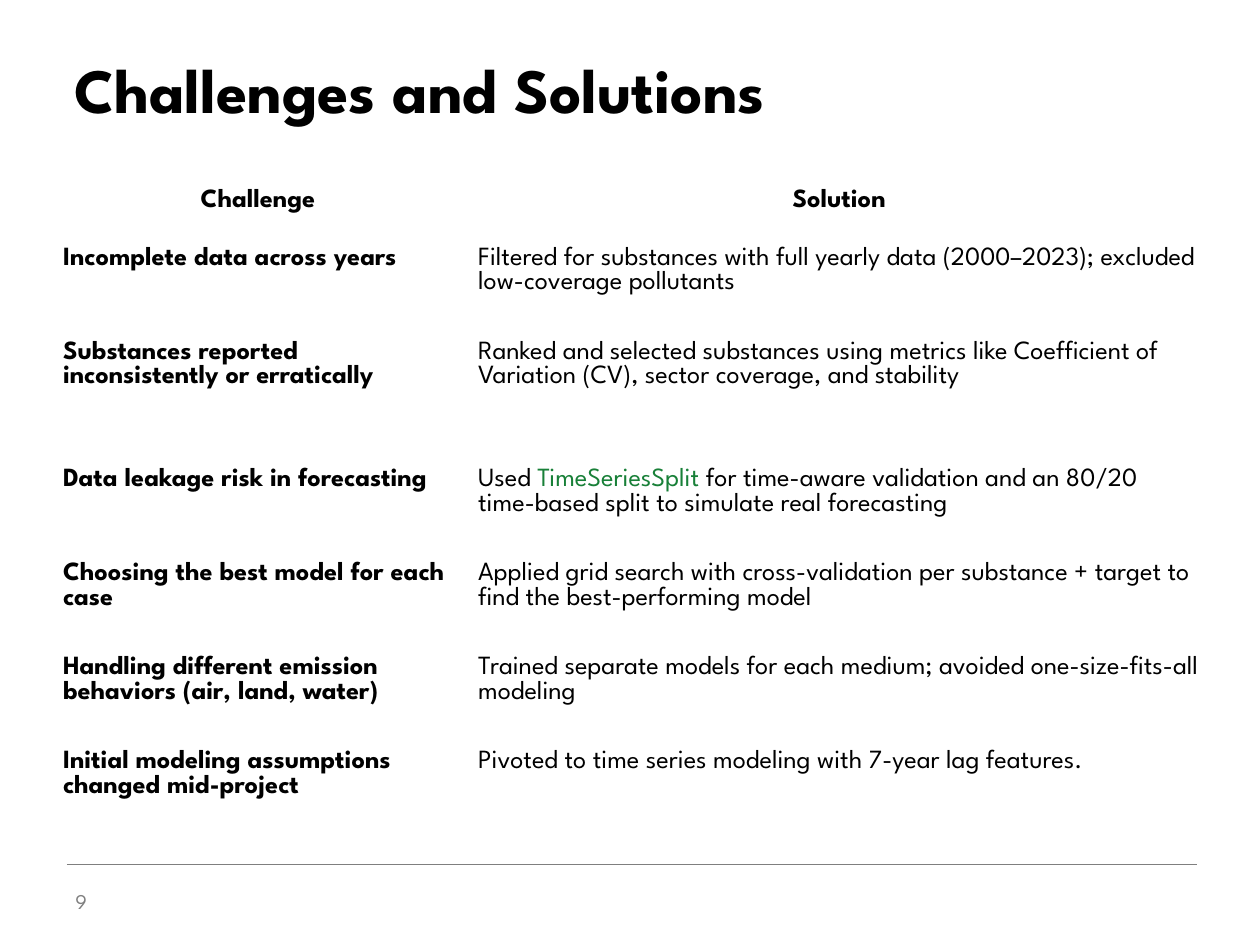
from dataclasses import dataclass

from lxml.etree import SubElement
from pptx import Presentation
from pptx.dml.color import RGBColor
from pptx.enum.text import MSO_ANCHOR, PP_ALIGN
from pptx.oxml.ns import qn
from pptx.util import Inches, Pt


@dataclass(frozen=True)
class Theme:
    font: str = "League Spartan"
    ink: str = "000000"
    code: str = "188038"
    gray: str = "7F7F7F"
    paper: str = "FFFFFF"
    head: int = 36
    body: int = 15
    note: int = 12
    lead: float = 1.15
    rule: float = 0.75


class Deck:
    def __init__(self, theme, wide=10, high=7.5):
        self.theme = theme
        self.file = Presentation()
        self.file.slide_width = Inches(wide)
        self.file.slide_height = Inches(high)
        self.page = self.file.slides.add_slide(self.file.slide_layouts[6])
        back = self.page.background.fill
        back.solid()
        back.fore_color.rgb = RGBColor.from_string(theme.paper)

    def x(self, share):
        return round(self.file.slide_width * share / 100)

    def y(self, share):
        return round(self.file.slide_height * share / 100)

    def run(self, para, text, size, color, bold=False):
        run = para.add_run()
        run.text = text
        font = run.font
        font.name, font.size, font.bold = self.theme.font, Pt(size), bold
        font.color.rgb = RGBColor.from_string(color)

    def text(self, left, top, wide, high, anchor, text, size, color, bold=False):
        box = self.page.shapes.add_textbox(
            self.x(left), self.y(top), self.x(wide), self.y(high))
        frame = box.text_frame
        frame.word_wrap = True
        frame.vertical_anchor = anchor
        para = frame.paragraphs[0]
        self.run(para, text, size, color, bold)
        return para

    def line(self, left, right, top):
        line = self.page.shapes.add_connector(
            1, self.x(left), self.y(top), self.x(right), self.y(top))
        line.line.color.rgb = RGBColor.from_string(self.theme.gray)
        line.line.width = Pt(self.theme.rule)
        SubElement(line._element.spPr, qn("a:effectLst"))

    def cell(self, cell, parts, bold, head):
        cell.fill.background()
        cell.margin_left = cell.margin_right = Inches(0.1)
        cell.margin_top = cell.margin_bottom = Inches(0.1)
        para = cell.text_frame.paragraphs[0]
        if head:
            para.alignment = PP_ALIGN.CENTER
            para.line_spacing = self.theme.lead
        for text, color in parts:
            self.run(para, text, self.theme.body, color, bold)

    def table(self, left, top, cols, rows, data):
        table = self.page.shapes.add_table(
            len(rows), len(cols), self.x(left), self.y(top),
            self.x(sum(cols)), self.y(sum(rows))).table
        table.horz_banding = table.first_row = False
        for col, wide in zip(table.columns, cols):
            col.width = self.x(wide)
        for row, high in zip(table.rows, rows):
            row.height = self.y(high)
        for r, items in enumerate(data):
            for c, item in enumerate(items):
                parts = [(item, self.theme.ink)] if isinstance(item, str) else item
                self.cell(table.cell(r, c), parts, r == 0 or c == 0, r == 0)


def main():
    theme = Theme()
    deck = Deck(theme)

    # Title
    title = deck.text(4.9, 2.4, 98.9, 11.6, MSO_ANCHOR.BOTTOM,
                      "Challenges and Solutions", theme.head, theme.ink, True)
    title.line_spacing = theme.lead
    title.space_before, title.space_after = Pt(14), Pt(4)

    # Challenges with their solutions
    split = [
        ("Used ", theme.ink),
        ("TimeSeriesSplit", theme.code),
        (" for time-aware validation and an 80/20 time-based split "
         "to simulate real forecasting", theme.ink),
    ]
    data = [
        ("Challenge", "Solution"),
        ("Incomplete data across years",
         "Filtered for substances with full yearly data (2000–2023); "
         "excluded low-coverage pollutants"),
        ("Substances reported inconsistently or erratically",
         "Ranked and selected substances using metrics like Coefficient of "
         "Variation (CV), sector coverage, and stability"),
        ("Data leakage risk in forecasting", split),
        ("Choosing the best model for each case",
         "Applied grid search with cross-validation per substance + target "
         "to find the best-performing model"),
        ("Handling different emission behaviors (air, land, water)",
         "Trained separate models for each medium; avoided "
         "one-size-fits-all modeling"),
        ("Initial modeling assumptions changed mid-project",
         "Pivoted to time series modeling with 7-year lag features."),
    ]
    rows = [6.4, 9.95, 13.5] + [9.95] * 4
    deck.table(4, 18.27, [32.95, 59.3], rows, data)

    # Footer
    deck.line(5.3, 95, 91.5)
    deck.text(5, 92.67, 10.7, 5.33, MSO_ANCHOR.MIDDLE,
              "9", theme.note, theme.gray)

    deck.file.save("out.pptx")


if __name__ == "__main__":
    main()
